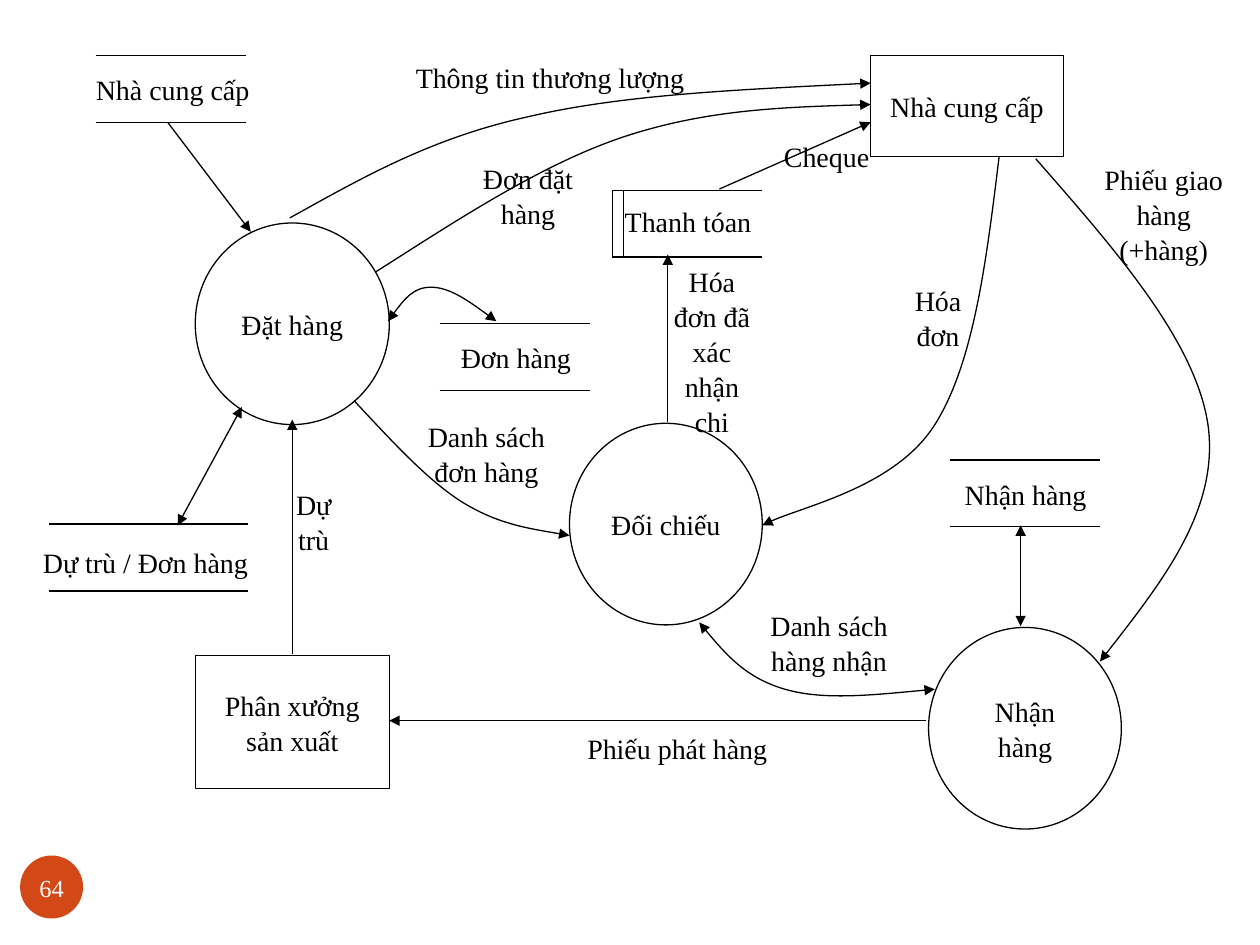
"""Build a data flow diagram of purchasing: ordering, checking and receiving goods."""
import pptx
import pptx.dml.color
import pptx.enum.shapes
import pptx.enum.text
import pptx.oxml
import pptx.oxml.ns
import pptx.util

Inches = pptx.util.Inches
Pt = pptx.util.Pt
RGBColor = pptx.dml.color.RGBColor
Kind = pptx.enum.shapes.MSO_SHAPE
Anchor = pptx.enum.text.MSO_ANCHOR

BLACK = RGBColor(0x00, 0x00, 0x00)
WHITE = RGBColor(0xFF, 0xFF, 0xFF)
ORANGE = RGBColor(0xD3, 0x48, 0x17)


class FlowDiagram:
    font = "Times New Roman"
    size = Pt(16)
    stroke = Pt(0.75)
    store_height = 0.53

    def __init__(self, page):
        self.page = page

    def add_text(self, box, text, size=None, color=BLACK):
        frame = box.text_frame
        frame.word_wrap = True
        para = frame.paragraphs[0]
        para.alignment = pptx.enum.text.PP_ALIGN.CENTER
        para.line_spacing = 1.04
        para.space_after = Pt(10)
        span = para.add_run()
        span.text = text
        span.font.name = self.font
        span.font.size = size or self.size
        span.font.color.rgb = color
        return frame

    def label(self, text, left, top, width, height):
        box = self.page.shapes.add_textbox(*map(Inches, (left, top, width, height)))
        self.add_text(box, text)

    def solid(self, kind, left, top, width, height, fill):
        shape = self.page.shapes.add_shape(kind, *map(Inches, (left, top, width, height)))
        shape.shadow.inherit = False
        shape.fill.solid()
        shape.fill.fore_color.rgb = fill
        return shape

    def node(self, kind, text, left, top, width, height):
        shape = self.solid(kind, left, top, width, height, WHITE)
        self.outline(shape)
        self.add_text(shape, text).vertical_anchor = Anchor.MIDDLE

    def page_number(self, text):
        badge = self.solid(Kind.OVAL, 0.16, 6.79, 0.5, 0.5, ORANGE)
        badge.line.fill.background()
        frame = self.add_text(badge, text, Pt(14), WHITE)
        frame.word_wrap = False
        frame.vertical_anchor = Anchor.MIDDLE
        frame.margin_left = frame.margin_right = frame.margin_top = frame.margin_bottom = 0

    def outline(self, shape, ends=()):
        shape.line.color.rgb = BLACK
        shape.line.width = self.stroke
        line = shape.line._get_or_add_ln()
        for end in ends:
            tag = pptx.oxml.ns.qn(f"a:{end}")
            line.append(line.makeelement(tag, {"type": "triangle"}))

    def line(self, start, finish, ends=()):
        link = self.page.shapes.add_connector(
            pptx.enum.shapes.MSO_CONNECTOR.STRAIGHT, *map(Inches, start + finish))
        self.outline(link, ends)
        properties = link._element.spPr
        properties.append(properties.makeelement(pptx.oxml.ns.qn("a:effectLst"), {}))

    def curve(self, points, ends):
        start, *controls = [tuple(map(Inches, point)) for point in points]
        builder = self.page.shapes.build_freeform(*start)
        builder.add_line_segments(controls, close=False)
        shape = builder.convert_to_shape()
        shape.shadow.inherit = False
        shape.fill.background()
        self.outline(shape, ends)
        route = shape._element.find(".//" + pptx.oxml.ns.qn("a:path"))
        segments = list(route)[1:]
        for first in range(0, len(segments), 3):
            bend = route.makeelement(pptx.oxml.ns.qn("a:cubicBezTo"), {})
            for segment in segments[first:first + 3]:
                bend.append(segment[0])
                route.remove(segment)
            route.append(bend)

    def store(self, left, top, width=1.19):
        for level in (top, top + self.store_height):
            self.line((left, level), (left + width, level))


ONE_WAY = ("tailEnd",)
TWO_WAY = ("headEnd", "tailEnd")

NODES = [
    (Kind.OVAL, "Đặt hàng", 1.55, 1.77, 1.54, 1.6),
    (Kind.OVAL, "Đối chiếu", 4.52, 3.36, 1.53, 1.6),
    (Kind.OVAL, "Nhận hàng", 7.37, 4.98, 1.53, 1.6),
    (Kind.RECTANGLE, "Phân xưởng sản xuất", 1.55, 5.2, 1.54, 1.06),
    (Kind.RECTANGLE, "Nhà cung cấp", 6.91, 0.44, 1.53, 0.8),
]

STORES = [(0.76, 0.44), (0.39, 4.16, 1.58), (3.49, 2.57), (7.54, 3.65), (4.86, 1.51)]

LABELS = [
    ("Nhà cung cấp", 0.6, 0.52, 1.54, 0.8),
    ("Dự trù / Đơn hàng", 0.17, 4.27, 1.97, 0.8),
    ("Đơn hàng", 3.33, 2.64, 1.53, 0.8),
    ("Nhận hàng", 7.37, 3.73, 1.54, 0.8),
    ("Thanh tóan", 4.69, 1.56, 1.54, 0.8),
    ("Phiếu giao hàng (+hàng)", 8.64, 1.23, 1.19, 0.87),
    ("Hóa đơn", 7.02, 2.19, 0.85, 0.74),
    ("Cheque", 6.05, 1.05, 1.02, 0.8),
    ("Hóa đơn đã xác nhận chi", 5.21, 2.04, 0.88, 1.33),
    ("Đơn đặt hàng", 3.68, 1.22, 1.02, 0.64),
    ("Thông tin thương lượng", 3.17, 0.42, 2.39, 0.44),
    ("Phiếu phát hàng", 4.18, 5.75, 2.39, 0.6),
    ("Danh sách đơn hàng", 3.25, 3.27, 1.22, 0.8),
    ("Dự trù", 2.15, 3.81, 0.68, 1.07),
    ("Danh sách hàng nhận", 5.81, 4.77, 1.54, 0.63),
]

STRAIGHT_FLOWS = [
    ((8.1, 4.17), (8.1, 4.97), TWO_WAY),
    ((5.71, 1.5), (6.91, 0.97), ONE_WAY),
    ((5.3, 3.35), (5.3, 2.02), ONE_WAY),
    ((1.33, 0.97), (1.99, 1.84), ONE_WAY),
    ((1.92, 3.23), (1.41, 4.17), TWO_WAY),
    ((2.32, 5.19), (2.32, 3.33), ONE_WAY),
    ((7.35, 5.72), (3.09, 5.72), ONE_WAY),
]

CURVED_FLOWS = [
    ([(8.22, 1.26), (8.86, 1.99), (9.5, 2.72), (9.59, 3.39),
      (9.67, 4.05), (9.2, 4.65), (8.73, 5.25)], ONE_WAY),
    ([(7.93, 1.24), (7.83, 2.06), (7.73, 2.88), (7.42, 3.37),
      (7.11, 3.86), (6.28, 4.04), (6.05, 4.17)], ONE_WAY),
    ([(2.98, 2.16), (3.64, 1.74), (4.29, 1.31), (4.94, 1.09),
      (5.6, 0.87), (6.25, 0.85), (6.91, 0.83)], ONE_WAY),
    ([(2.3, 1.73), (2.86, 1.42), (3.41, 1.1), (4.18, 0.93),
      (4.94, 0.75), (5.92, 0.71), (6.91, 0.66)], ONE_WAY),
    ([(2.81, 3.18), (3.1, 3.49), (3.38, 3.8), (3.66, 3.98),
      (3.95, 4.16), (4.23, 4.2), (4.52, 4.25)], ONE_WAY),
    ([(3.08, 2.55), (3.18, 2.41), (3.28, 2.28), (3.42, 2.28),
      (3.57, 2.28), (3.75, 2.41), (3.94, 2.55)], TWO_WAY),
    ([(5.55, 4.94), (5.73, 5.16), (5.92, 5.38), (6.23, 5.47),
      (6.54, 5.56), (6.98, 5.51), (7.42, 5.47)], TWO_WAY),
]


def main():
    deck = pptx.Presentation()
    deck.slide_width, deck.slide_height = Inches(10), Inches(7.5)
    diagram = FlowDiagram(deck.slides.add_slide(deck.slide_layouts[6]))
    diagram.page_number("64")
    for node in NODES:
        diagram.node(*node)
    for store in STORES:
        diagram.store(*store)
    for edge in (4.86, 4.95):
        diagram.line((edge, 1.51), (edge, 1.51 + diagram.store_height))
    for flow in STRAIGHT_FLOWS:
        diagram.line(*flow)
    for flow in CURVED_FLOWS:
        diagram.curve(*flow)
    for label in LABELS:
        diagram.label(*label)
    deck.save("out.pptx")


if __name__ == "__main__":
    main()
